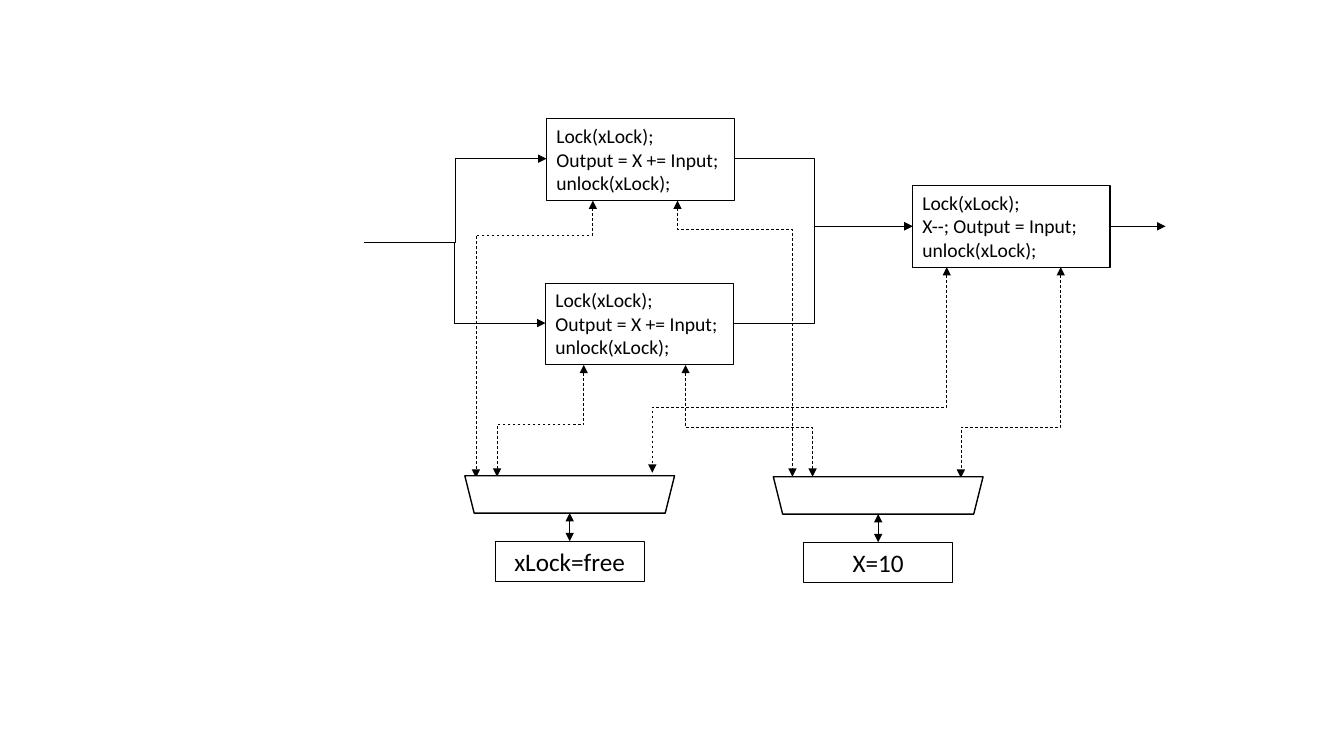
from lxml.etree import SubElement
from pptx import Presentation
from pptx.dml.color import RGBColor
from pptx.enum.dml import MSO_LINE
from pptx.enum.shapes import MSO_CONNECTOR, MSO_SHAPE
from pptx.enum.text import MSO_ANCHOR, MSO_AUTO_SIZE, PP_ALIGN
from pptx.oxml.ns import qn
from pptx.util import Inches, Pt

BLACK = RGBColor(0, 0, 0)
WHITE = RGBColor(255, 255, 255)

# Boxes: left, top, width, height
ADD_TOP = (5.42, 1.18, 1.87, 0.81)
ADD_BOTTOM = (5.41, 2.81, 1.87, 0.81)
SUBTRACT = (9.05, 1.84, 1.96, 0.81)
LOCK_MUX = (4.61, 4.72, 2.08, 0.37)
DATA_MUX = (7.67, 4.73, 2.08, 0.37)


def add_box(slide, kind, box, weight, fill=WHITE):
    s = slide.shapes.add_shape(kind, *map(Inches, box))
    s.shadow.inherit = False
    if fill is None:
        s.fill.background()
    else:
        s.fill.solid()
        s.fill.fore_color.rgb = fill
    s.line.color.rgb = BLACK
    s.line.width = Pt(weight)
    return s


def write(s, text, size, align):
    tf = s.text_frame
    tf.word_wrap = True
    tf.auto_size = MSO_AUTO_SIZE.SHAPE_TO_FIT_TEXT
    tf.vertical_anchor = MSO_ANCHOR.TOP
    tf.text = text
    for p in tf.paragraphs:
        p.alignment = align
        for r in p.runs:
            r.font.name = "Calibri"
            r.font.size = Pt(size)
            r.font.color.rgb = BLACK


def add_wire(slide, kind, start, end, heads=("tailEnd",)):
    c = slide.shapes.add_connector(kind, *map(Inches, (*start, *end)))
    c.line.color.rgb = BLACK
    c.line.width = Pt(0.5)
    for head in heads:
        SubElement(c.line._get_or_add_ln(), qn(f"a:{head}"), type="triangle")
    SubElement(c._element.spPr, qn("a:effectLst"))
    return c


def add_lock_wire(slide, start, end, bend_y):
    """Dashed wire that leaves downwards, crosses at bend_y and goes down again."""
    (x1, y1), (x2, y2) = start, end
    mid_x, mid_y = (x1 + x2) / 2, (y1 + y2) / 2
    half_w, half_h = (y2 - y1) / 2, abs(x2 - x1) / 2
    side = 1 if x2 > x1 else -1
    # The elbow is laid flat about its centre, then turned upright
    c = add_wire(slide, MSO_CONNECTOR.ELBOW,
                 (mid_x + side * half_w, mid_y - half_h),
                 (mid_x - side * half_w, mid_y + half_h),
                 ("headEnd", "tailEnd"))
    c.line.dash_style = MSO_LINE.DASH
    spPr = c._element.spPr
    spPr.find(qn("a:xfrm")).set("rot", str((270 if side > 0 else 90) * 60000))
    guides = spPr.find(qn("a:prstGeom")).get_or_add_avLst()
    share = round((bend_y - y1) / (y2 - y1) * 100000)
    SubElement(guides, qn("a:gd"), name="adj1", fmla=f"val {share}")


def add_stage(slide, box, operation, fill=WHITE):
    s = add_box(slide, MSO_SHAPE.RECTANGLE, box, 0.75, fill)
    write(s, f"Lock(xLock);\n{operation}\nunlock(xLock);", 14, PP_ALIGN.LEFT)


def add_memory(slide, box, value):
    """Multiplexer with its stored value below."""
    left, top, width, height = box
    center, value_top = left + width / 2, top + 0.65
    add_wire(slide, MSO_CONNECTOR.STRAIGHT, (center, top + height),
             (center, value_top), ("headEnd", "tailEnd"))
    add_box(slide, MSO_SHAPE.TRAPEZOID, box, 1).rotation = 180
    s = add_box(slide, MSO_SHAPE.RECTANGLE, (left + 0.3, value_top, 1.48, 0.4), 0.75)
    write(s, value, 18, PP_ALIGN.CENTER)


def add_data_flow(slide, adders, last):
    """Input fans out to both adders, which join at the last stage."""
    left, top, width, height = last
    middle = top + height / 2
    for x, y, w, h in adders:
        adder_middle = y + h / 2 - 0.01
        add_wire(slide, MSO_CONNECTOR.ELBOW, (3.61, 2.4), (x, adder_middle))
        add_wire(slide, MSO_CONNECTOR.ELBOW, (7.11, adder_middle), (left, middle))
    add_wire(slide, MSO_CONNECTOR.STRAIGHT, (left + width, middle),
             (left + width + 0.55, middle))


def add_lock_flow(slide):
    # Stage, offset on it, multiplexer, offset on it, bend height, reach into it
    wires = [
        (ADD_TOP, 0.46, LOCK_MUX, 0.11, 2.33, 0.02),
        (ADD_BOTTOM, 0.38, LOCK_MUX, 0.32, 4.21, 0.01),
        (SUBTRACT, 0.34, LOCK_MUX, 1.86, 4.04, -0.03),
        (ADD_TOP, 1.3, DATA_MUX, 0.19, 2.28, 0),
        (ADD_BOTTOM, 1.39, DATA_MUX, 0.39, 4.24, 0),
        (SUBTRACT, 1.47, DATA_MUX, 1.86, 4.24, 0.01),
    ]
    for stage, stage_dx, mux, mux_dx, bend_y, reach in wires:
        add_lock_wire(slide, (stage[0] + stage_dx, stage[1] + stage[3]),
                      (mux[0] + mux_dx, mux[1] + reach), bend_y)


prs = Presentation()
prs.slide_width, prs.slide_height = Inches(13.33), Inches(7.5)
slide = prs.slides.add_slide(prs.slide_layouts[6])

# Wires lie behind the boxes
add_data_flow(slide, (ADD_TOP, ADD_BOTTOM), SUBTRACT)
add_lock_flow(slide)

# Processing stages
for adder in (ADD_TOP, ADD_BOTTOM):
    add_stage(slide, adder, "Output = X += Input;")
add_stage(slide, SUBTRACT, "X--; Output = Input;", fill=None)

# Shared memory
add_memory(slide, LOCK_MUX, "xLock=free")
add_memory(slide, DATA_MUX, "X=10")

prs.save("out.pptx")
